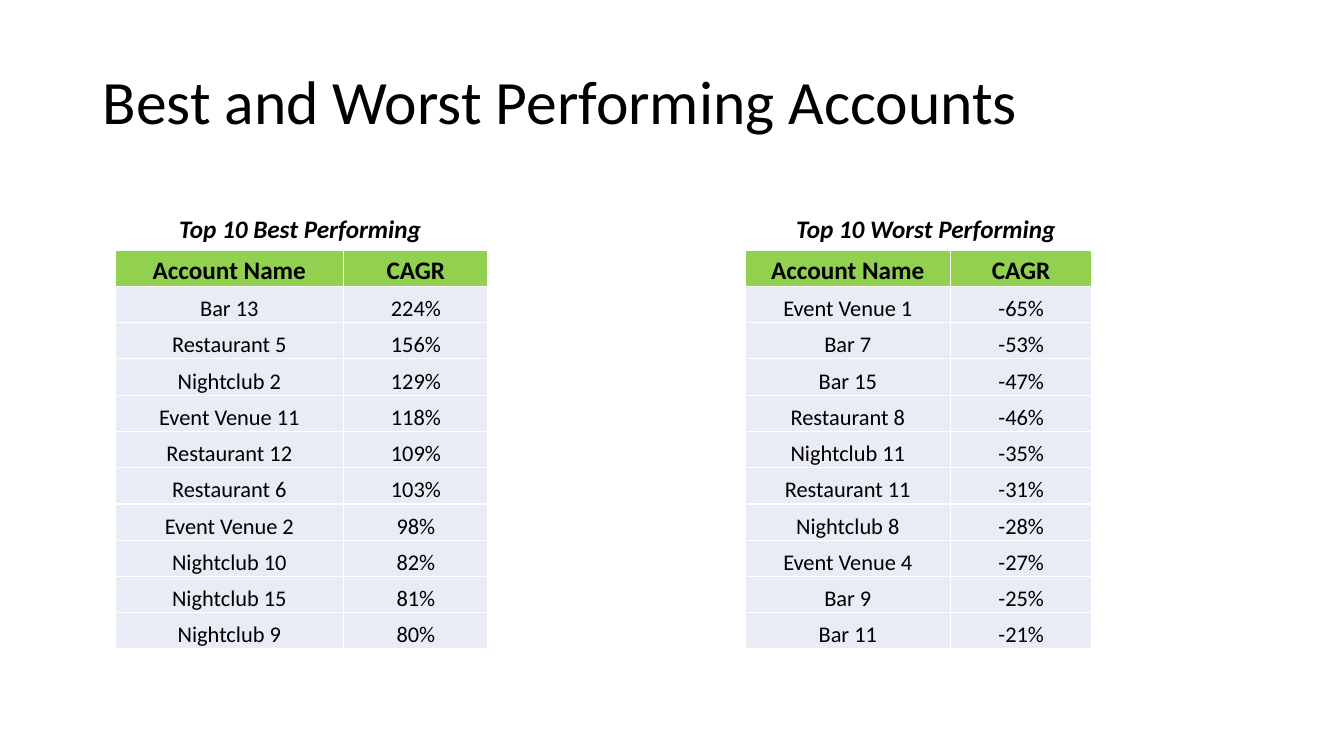
import dataclasses

import pptx
import pptx.dml.color
import pptx.enum.text
import pptx.oxml
import pptx.oxml.ns
import pptx.presentation
import pptx.slide
import pptx.table
import pptx.text.text
import pptx.util

SLIDE_WIDTH = pptx.util.Inches(13.33)
SLIDE_HEIGHT = pptx.util.Inches(7.5)
FONT = "Calibri"
BLACK = "000000"
WHITE = "FFFFFF"
HEADER_GREEN = "92D050"
BODY_LAVENDER = "E9EBF5"

# Vertical layout, in percent of the slide height
HEADING_TOP = 27.6
HEADING_HEIGHT = 5.33
TABLE_TOP = 33.07
ROW_HEIGHT = 4.8


@dataclasses.dataclass(frozen=True)
class Ranking:
    """One headed table; horizontal lengths are percent of the slide width."""
    heading: str
    heading_left: float
    heading_width: float
    table_left: float
    column_widths: tuple[float, float]
    accounts: tuple[tuple[str, str], ...]


@dataclasses.dataclass(frozen=True)
class TextStyle:
    size: int
    bold: bool = False
    italic: bool = False


TITLE_STYLE = TextStyle(44)
HEADING_STYLE = TextStyle(18, bold=True, italic=True)
HEADER_STYLE = TextStyle(18, bold=True)
BODY_STYLE = TextStyle(16)

RANKINGS = (
    Ranking(
        "Top 10 Best Performing", 12.6, 19.73, 8.55, (17.03, 10.73),
        (
            ("Bar 13", "224%"),
            ("Restaurant 5", "156%"),
            ("Nightclub 2", "129%"),
            ("Event Venue 11", "118%"),
            ("Restaurant 12", "109%"),
            ("Restaurant 6", "103%"),
            ("Event Venue 2", "98%"),
            ("Nightclub 10", "82%"),
            ("Nightclub 15", "81%"),
            ("Nightclub 9", "80%"),
        ),
    ),
    Ranking(
        "Top 10 Worst Performing", 58.5, 21.08, 55.43, (15.3, 10.5),
        (
            ("Event Venue 1", "-65%"),
            ("Bar 7", "-53%"),
            ("Bar 15", "-47%"),
            ("Restaurant 8", "-46%"),
            ("Nightclub 11", "-35%"),
            ("Restaurant 11", "-31%"),
            ("Nightclub 8", "-28%"),
            ("Event Venue 4", "-27%"),
            ("Bar 9", "-25%"),
            ("Bar 11", "-21%"),
        ),
    ),
)


def across(percent: float) -> int:
    return round(SLIDE_WIDTH * percent / 100)


def down(percent: float) -> int:
    return round(SLIDE_HEIGHT * percent / 100)


def color(hex_value: str) -> pptx.dml.color.RGBColor:
    return pptx.dml.color.RGBColor.from_string(hex_value)


def add_run(paragraph: pptx.text.text._Paragraph, text: str, style: TextStyle) -> None:
    run = paragraph.add_run()
    run.text = text
    run.font.name = FONT
    run.font.size = pptx.util.Pt(style.size)
    run.font.bold = style.bold
    run.font.italic = style.italic
    run.font.color.rgb = color(BLACK)


def add_title(slide: pptx.slide.Slide, text: str) -> None:
    shape = slide.shapes.add_textbox(across(6.9), down(5.33), across(86.25), down(17.07))
    frame = shape.text_frame
    frame.word_wrap = True
    frame.vertical_anchor = pptx.enum.text.MSO_ANCHOR.MIDDLE
    paragraph = frame.paragraphs[0]
    paragraph.line_spacing = 0.9
    add_run(paragraph, text, TITLE_STYLE)


def add_heading(slide: pptx.slide.Slide, ranking: Ranking) -> None:
    shape = slide.shapes.add_textbox(
        across(ranking.heading_left), down(HEADING_TOP),
        across(ranking.heading_width), down(HEADING_HEIGHT),
    )
    frame = shape.text_frame
    frame.word_wrap = False
    frame.auto_size = pptx.enum.text.MSO_AUTO_SIZE.SHAPE_TO_FIT_TEXT
    add_run(frame.paragraphs[0], ranking.heading, HEADING_STYLE)


def add_borders(cell: pptx.table._Cell) -> None:
    """Draw all four sides; call before the fill, which must follow in the XML."""
    properties = cell._tc.get_or_add_tcPr()
    namespace = pptx.oxml.ns.nsdecls("a")
    for side in ("lnL", "lnR", "lnT", "lnB"):
        properties.append(pptx.oxml.parse_xml(
            f'<a:{side} {namespace} w="{pptx.util.Pt(1)}"><a:solidFill>'
            f'<a:srgbClr val="{WHITE}"/></a:solidFill></a:{side}>'
        ))


def fill_cell(cell: pptx.table._Cell, text: str, style: TextStyle, fill: str) -> None:
    add_borders(cell)
    cell.fill.solid()
    cell.fill.fore_color.rgb = color(fill)
    cell.margin_left = cell.margin_right = cell.margin_top = pptx.util.Inches(0.01)
    cell.margin_bottom = 0
    cell.vertical_anchor = pptx.enum.text.MSO_ANCHOR.BOTTOM
    paragraph = cell.text_frame.paragraphs[0]
    paragraph.alignment = pptx.enum.text.PP_ALIGN.CENTER
    add_run(paragraph, text, style)


def add_ranking_table(slide: pptx.slide.Slide, ranking: Ranking) -> None:
    rows = (("Account Name", "CAGR"), *ranking.accounts)
    table = slide.shapes.add_table(
        len(rows), len(ranking.column_widths),
        across(ranking.table_left), down(TABLE_TOP),
        across(sum(ranking.column_widths)), down(ROW_HEIGHT * len(rows)),
    ).table
    for column, width in zip(table.columns, ranking.column_widths):
        column.width = across(width)
    for row_index, values in enumerate(rows):
        table.rows[row_index].height = down(ROW_HEIGHT)
        is_header = row_index == 0
        style = HEADER_STYLE if is_header else BODY_STYLE
        fill = HEADER_GREEN if is_header else BODY_LAVENDER
        for column_index, text in enumerate(values):
            fill_cell(table.cell(row_index, column_index), text, style, fill)


def main() -> None:
    presentation = pptx.Presentation()
    presentation.slide_width = SLIDE_WIDTH
    presentation.slide_height = SLIDE_HEIGHT
    slide = presentation.slides.add_slide(presentation.slide_layouts[6])
    add_title(slide, "Best and Worst Performing Accounts")
    for ranking in RANKINGS:
        add_ranking_table(slide, ranking)
        add_heading(slide, ranking)
    presentation.save("out.pptx")


if __name__ == "__main__":
    main()
